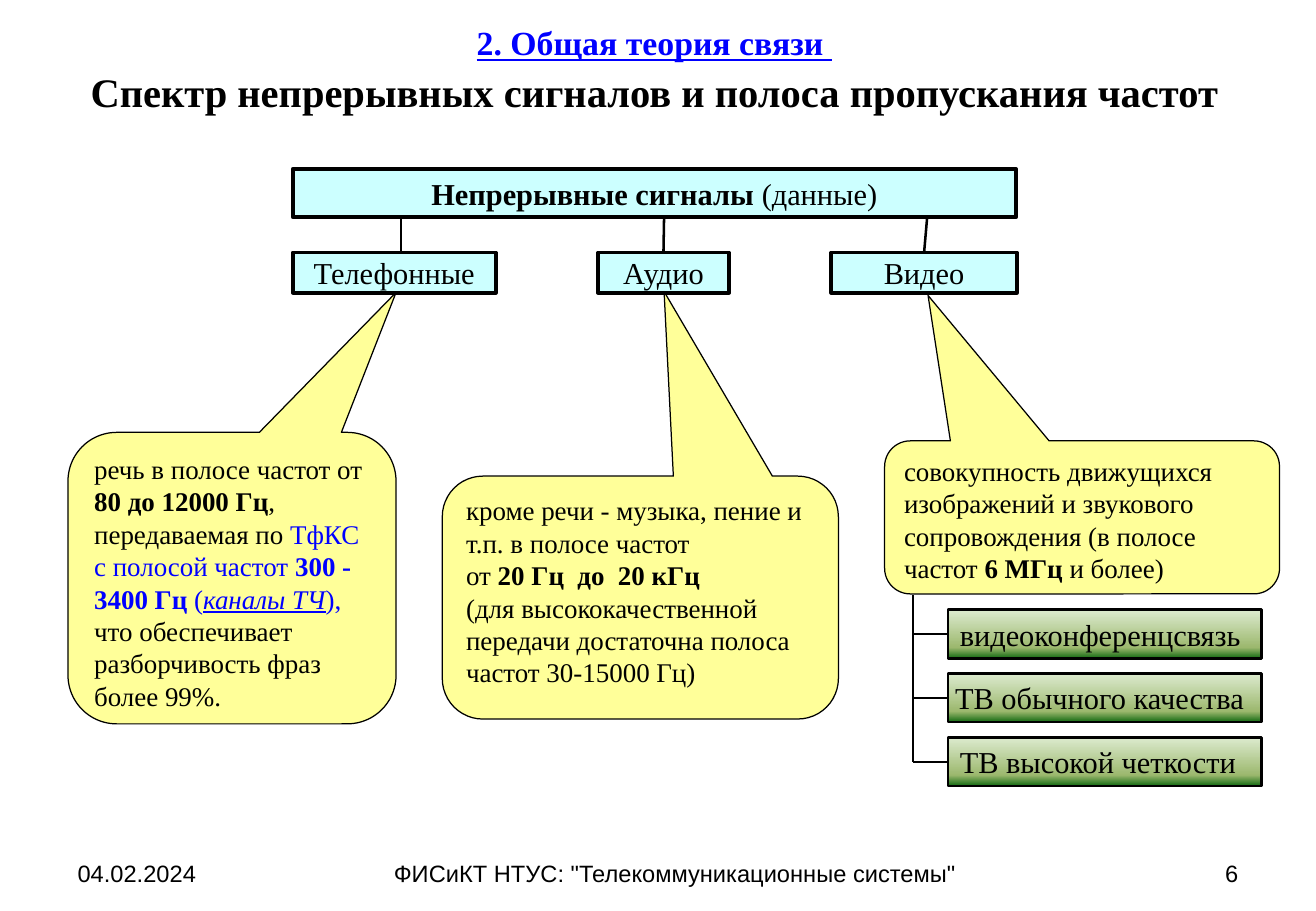
from copy import deepcopy
from dataclasses import dataclass

from pptx import Presentation
from pptx import util as u
from pptx.dml.color import RGBColor
from pptx.enum import shapes, text
from pptx.oxml import ns, xmlchemy

BOX = shapes.MSO_SHAPE.RECTANGLE
BUBBLE = shapes.MSO_SHAPE.ROUNDED_RECTANGULAR_CALLOUT
LEFT, MID, RIGHT = text.PP_ALIGN.LEFT, text.PP_ALIGN.CENTER, text.PP_ALIGN.RIGHT


@dataclass(frozen=True)
class Theme:
    """Fonts, colours and type sizes of the slide."""
    serif: str = "Times New Roman"
    sans: str = "Arial"
    ink: str = "000000"
    blue: str = "0000FF"
    cyan: str = "CCFFFF"
    yellow: str = "FFFF99"
    green: tuple = ((0, "DDEBCF"), (0.78, "9CB86E"), (1, "156B13"))
    title: int = 24
    topic: int = 20
    label: int = 18
    note: int = 16
    foot: int = 14


T = Theme()


def color(code):
    """Turn a hex code into a colour."""
    return RGBColor.from_string(code)


def write(shape, paras, size, align=LEFT, font=T.serif, pad=(0.1, 0.05, 0.1, 0.05), anchor="TOP"):
    """Fill a shape with paragraphs of (text, flags) runs: b, i, u, l for blue."""
    frame = shape.text_frame
    frame.word_wrap = True
    frame.vertical_anchor = getattr(text.MSO_ANCHOR, anchor)
    frame.margin_left, frame.margin_top, frame.margin_right, frame.margin_bottom = map(u.Inches, pad)
    for n, runs in enumerate(paras):
        para = frame.paragraphs[0] if n == 0 else frame.add_paragraph()
        para.alignment = align
        for words, flags in runs:
            run = para.add_run()
            run.text = words
            face = run.font
            face.name, face.size = font, u.Pt(size)
            face.bold, face.italic, face.underline = (f in flags for f in "biu")
            face.color.rgb = color(T.blue if "l" in flags else T.ink)


def panel(slide, kind, box, fill, width):
    """Add an outlined shape with a plain fill or a list of gradient stops."""
    shape = slide.shapes.add_shape(kind, *map(u.Inches, box))
    shape.shadow.inherit = False
    shape.line.color.rgb = color(T.ink)
    shape.line.width = u.Pt(width)
    if isinstance(fill, str):
        shape.fill.solid()
        shape.fill.fore_color.rgb = color(fill)
        return shape
    shape.fill.gradient()
    shape.fill.gradient_angle = 270
    stops = next(shape.element.iter(ns.qn("a:gsLst")))
    stops.append(deepcopy(stops[-1]))
    for stop, (place, code) in zip(shape.fill.gradient_stops, fill):
        stop.position, stop.color.rgb = place, color(code)
    return shape


def line(slide, start, end, width):
    """Draw a plain straight line."""
    link = slide.shapes.add_connector(shapes.MSO_CONNECTOR.STRAIGHT, *map(u.Inches, start + end))
    link.line.color.rgb = color(T.ink)
    link.line.width = u.Pt(width)
    link.element.spPr.append(xmlchemy.OxmlElement("a:effectLst"))
    return link


def label(slide, box, *args, **opts):
    """Add a text box."""
    write(slide.shapes.add_textbox(*map(u.Inches, box)), *args, **opts)


def heading(slide, box):
    """Place the topic and the title, one above the other."""
    x, y, w, h = box
    label(slide, (x, y, w, 0.38), [[("2. Общая теория связи ", "bul")]], T.topic, MID, anchor="MIDDLE")
    label(slide, (x, y + 0.38, w, h - 0.38),
          [[("Спектр непрерывных сигналов и полоса пропускания частот", "b")]],
          T.title, MID, anchor="MIDDLE")


def kinds(slide, box):
    """Place the root box and the three signal kinds hanging from it."""
    x, y, w, h = box
    root = panel(slide, BOX, (x, y, w, 0.4), T.cyan, 2.25)
    write(root, [[("Непрерывные сигналы ", "b"), ("(данные)", "")]], T.label, MID, anchor="MIDDLE")
    row = y + h - 0.33
    parts = [("Телефонные", 0, 1.67), ("Аудио", 2.51, 1.08), ("Видео", 4.43, 1.53)]
    for n, (name, dx, width) in enumerate(parts):
        item = panel(slide, BOX, (x + dx, row, width, 0.33), T.cyan, 2.25)
        write(item, [[(name, "")]], T.label, MID, pad=(0.02, 0.01, 0.02, 0.01), anchor="MIDDLE")
        drop = x + 0.89 + n * 2.165
        link = line(slide, (drop, y + 0.4), (drop, row), 1.5)
        if abs(drop - x - dx - width / 2) < 0.03:
            link.end_connect(item, 0)


def callout(slide, box, tip, paras):
    """Place a speech bubble whose tail ends at the tip, in shares of its size."""
    shape = panel(slide, BUBBLE, box, T.yellow, 0.75)
    for n, value in enumerate((*tip, 0.167)):
        shape.adjustments[n] = value
    write(shape, paras, T.note)


def tree(slide, box):
    """Place the video services on a trunk along the left edge."""
    x, y, w, h = box
    names = [("видеоконференцсвязь", 0.1), ("ТВ обычного качества", 0.06), ("ТВ высокой четкости", 0.1)]
    step = (h - 0.52) / 2
    for n, (name, pad) in enumerate(names):
        top = y + 0.12 + n * step
        item = panel(slide, BOX, (x + 0.29, top, w - 0.29, 0.4), T.green, 1.5)
        write(item, [[(name, "")]], T.label, pad=(pad, 0.05, 0, 0.05))
        line(slide, (x, top + 0.2), (x + 0.29, top + 0.2), 1.25).end_connect(item, 1)
    line(slide, (x, y), (x, y + h - 0.2), 1.25)


def footer(slide, box):
    """Place the date, the course and the slide number."""
    x, y, w, h = box
    parts = [(0, 2.53, LEFT, "04.02.2024"),
             (2.43, 5.17, MID, 'ФИСиКТ НТУС: "Телекоммуникационные системы"'),
             (w - 2.53, 2.53, RIGHT, "6")]
    for dx, width, align, words in parts:
        label(slide, (x + dx, y, width, h), [[(words, "")]], T.foot, align, T.sans)


def main():
    """Build and save the slide."""
    deck = Presentation()
    deck.slide_width, deck.slide_height = u.Inches(10.83), u.Inches(7.5)
    slide = deck.slides.add_slide(deck.slide_layouts[6])
    heading(slide, (0.14, 0.16, 10.49, 0.8))
    kinds(slide, (2.41, 1.39, 5.95, 1.02))
    callout(slide, (0.56, 3.56, 2.7, 2.4), (0.5, -0.98), [
        [("речь в полосе частот от ", ""), ("80 до 12000 Гц", "b"), (", передаваемая по ", ""),
         ("ТфКС с полосой частот ", "l"), ("300 - 3400 Гц ", "bl"), ("(", "l"),
         ("каналы ТЧ", "iul"), ("),", "l")],
        [("что обеспечивает разборчивость фраз более 99%.", "")]])
    callout(slide, (3.64, 3.92, 3.26, 2), (0.06, -1.26), [
        [("кроме речи - музыка, пение и т.п. в полосе частот", "")],
        [("от ", ""), ("20 Гц  до  20 кГц", "b")],
        [("(для высококачественной передачи достаточна полоса частот 30-15000 Гц)", "")]])
    callout(slide, (7.28, 3.63, 3.25, 1.26), (-0.39, -1.45), [
        [("совокупность движущихся изображений и звукового сопровождения (в полосе частот ", ""),
         ("6 МГц ", "b"), ("и более)", "")]])
    tree(slide, (7.51, 4.9, 2.87, 1.57))
    footer(slide, (0.54, 7.02, 9.75, 0.33))
    deck.save("out.pptx")


if __name__ == "__main__":
    main()
